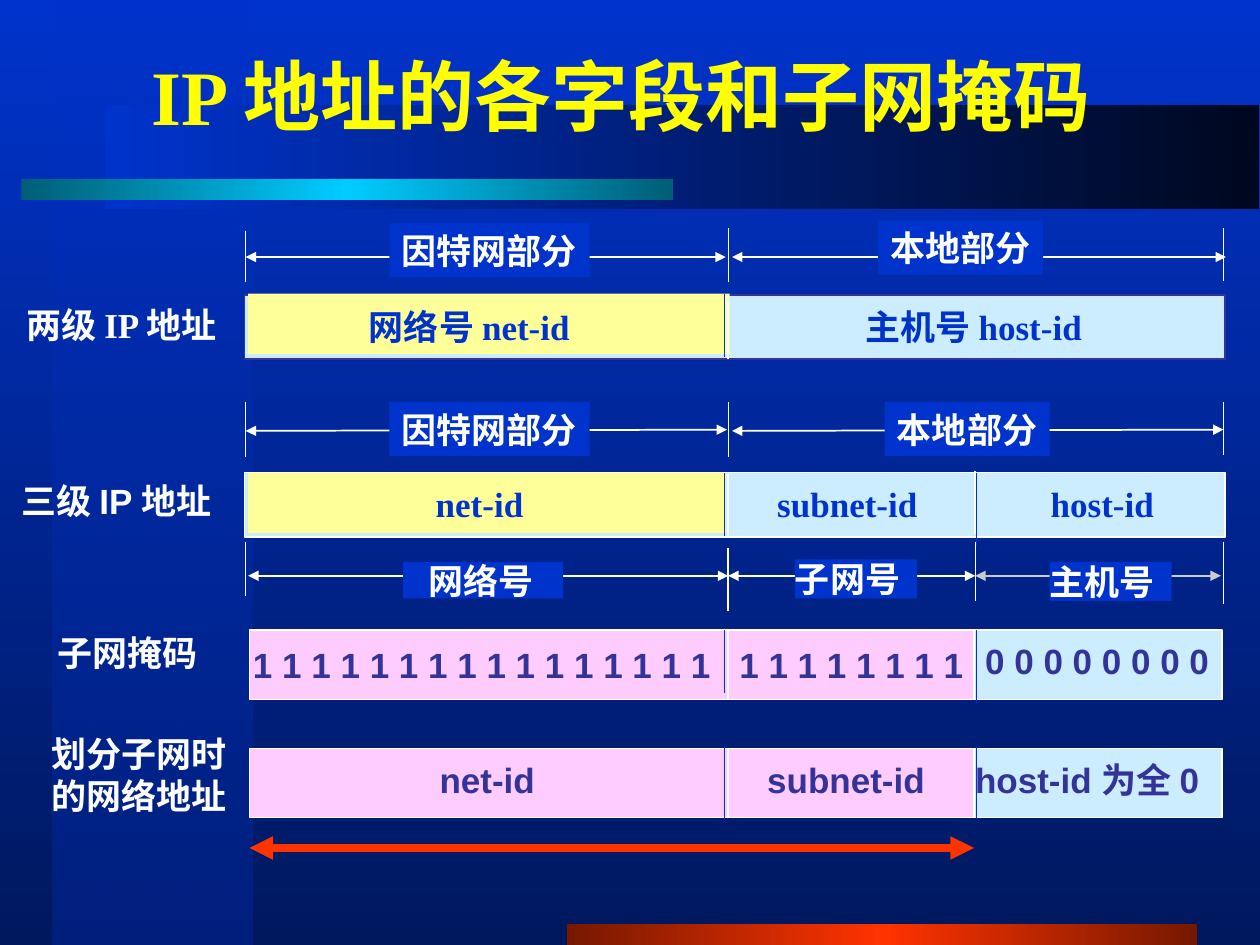
from copy import deepcopy
from lxml import etree
from pptx import Presentation
from pptx.dml.color import RGBColor
from pptx.enum.shapes import MSO_CONNECTOR, MSO_SHAPE
from pptx.enum.text import MSO_ANCHOR, MSO_AUTO_SIZE, PP_ALIGN
from pptx.oxml.ns import qn
from pptx.util import Inches, Pt

RECT = MSO_SHAPE.RECTANGLE
STRAIGHT = MSO_CONNECTOR.STRAIGHT
MIDDLE = MSO_ANCHOR.MIDDLE
CENTER = PP_ALIGN.CENTER
NO_FIT = MSO_AUTO_SIZE.NONE

WHITE, BLUE, NAVY, RED = "FFFFFF", "0033CC", "333399", "FF3300"
PALE, CREAM, PINK = "CCECFF", "FFFF99", "FFCCFF"
SERIF, SANS = "Times New Roman", "Arial"
LEFT, MID, SUB, RIGHT = 1.95, 5.78, 7.74, 9.71
rgb = RGBColor.from_string

prs = Presentation()
prs.slide_width, prs.slide_height = Inches(10), Inches(7.5)
slide = prs.slides.add_slide(prs.slide_layouts[5])
shapes = slide.shapes


def label(text, x, y, w, h=0.43, tint=WHITE, font=SANS, fill=None, pad=0.1):
    if fill:
        box = shapes.add_shape(RECT, Inches(x), Inches(y), Inches(w), Inches(h))
        box.shadow.inherit = False
        box.fill.solid()
        box.fill.fore_color.rgb = rgb(fill)
        box.line.fill.background()
    else:
        box = shapes.add_textbox(Inches(x), Inches(y), Inches(w), Inches(h))
    frame = box.text_frame
    frame.word_wrap = False
    frame.auto_size = NO_FIT
    frame.vertical_anchor = MIDDLE
    frame.margin_left = Inches(pad)
    frame.text = text
    for para in frame.paragraphs:
        para.alignment = PP_ALIGN.LEFT
        para.font.size = Pt(20)
        para.font.bold = True
        para.font.name = font
        para.font.color.rgb = rgb(tint)
    return frame


def rule(x1, y1, x2, y2, tint=WHITE, width=1, heads=False):
    line = shapes.add_connector(STRAIGHT, Inches(x1), Inches(y1), Inches(x2), Inches(y2))
    line.line.color.rgb = rgb(tint)
    line.line.width = Pt(width)
    props = line._element.spPr
    if heads:
        for end in ("a:headEnd", "a:tailEnd"):
            etree.SubElement(props.find(qn("a:ln")), qn(end), type="triangle")
    etree.SubElement(props, qn("a:effectLst"))


back = slide.background.fill
back.gradient()
back.gradient_angle = 270
for stop, tint in zip(back.gradient_stops, (BLUE, "00185E")):
    stop.color.rgb = rgb(tint)
back.gradient_stops[0].position = 0
back.gradient_stops[1].position = 1

bands = [
    (0.42, 0, 1.58, 7.5, 270, (BLUE, "00207E")),
    (4.5, 7.33, 5, 0.17, 0, ("761800", RED, "761800")),
    (0.83, 0.83, 9.16, 0.83, 0, (BLUE, "00081F")),
    (0.17, 1.42, 5.17, 0.17, 0, ("005E76", "00CCFF", "005E76")),
]
for x, y, w, h, angle, tints in bands:
    band = shapes.add_shape(RECT, Inches(x), Inches(y), Inches(w), Inches(h))
    band.shadow.inherit = False
    band.line.fill.background()
    band.fill.gradient()
    band.fill.gradient_angle = angle
    stops = band._element.spPr.find(".//" + qn("a:gsLst"))
    if len(tints) == 3:
        stops.append(deepcopy(stops[0]))
    for i, (stop, tint) in enumerate(zip(band.fill.gradient_stops, tints)):
        stop.color.rgb = rgb(tint)
        stop.position = i / (len(tints) - 1)
    if angle:
        etree.SubElement(stops[0][0], qn("a:alpha"), val="50000")

title = shapes.title
shapes._spTree.append(title._element)
title.left, title.top = Inches(0.75), Inches(0.25)
title.width, title.height = Inches(8.5), Inches(1)
frame = title.text_frame
frame.text = "IP 地址的各字段和子网掩码 "
frame.vertical_anchor = MIDDLE
frame.auto_size = NO_FIT
frame.paragraphs[0].alignment = CENTER
font = frame.paragraphs[0].runs[0].font
font.size, font.bold, font.name = Pt(44), True, SERIF
font.color.rgb = rgb("FFFF01")

bars = [
    (1.94, 3.75, 7.78, 0.51, PALE, WHITE, 1),
    (1.94, 2.34, 7.78, 0.51, PALE, NAVY, 1),
    (1.97, 2.33, 3.82, 0.48, CREAM, None, 0),
    (1.97, 3.75, 3.79, 0.48, CREAM, None, 0),
]
for y in (5, 5.94):
    bars += [(7.73, y, 1.97, 0.55, PALE, WHITE, 0.75),
             (1.98, y, 5.75, 0.55, PINK, WHITE, 0.75)]
for x, y, w, h, tint, edge, width in bars:
    bar = shapes.add_shape(RECT, Inches(x), Inches(y), Inches(w), Inches(h))
    bar.shadow.inherit = False
    bar.fill.solid()
    bar.fill.fore_color.rgb = rgb(tint)
    if edge:
        bar.line.color.rgb = rgb(edge)
        bar.line.width = Pt(width)
    else:
        bar.line.fill.background()

for x, y, end in [(MID, 2.35, 2.85), (MID, 3.76, 4.25), (SUB, 3.74, 4.24),
                  (MID, 5, 5.55), (MID, 5.94, 6.49), (MID, 4.35, 4.85),
                  (RIGHT, 4.3, 4.79)]:
    rule(x, y, x, end)
for x, y, end in [(5.75, 2.33, 2.83), (5.75, 3.75, 4.25), (5.75, 5, 5.5),
                  (5.75, 5.92, 6.5), (7.75, 3.75, 4.33), (7.75, 5, 5.58),
                  (7.75, 5.92, 6.5)]:
    rule(x, y, x, end, BLUE)
for x, y, end in [(LEFT, 1.83, 2.24), (MID, 1.81, 2.24), (RIGHT, 1.81, 2.23),
                  (LEFT, 3.19, 3.63), (MID, 3.19, 3.63), (RIGHT, 3.19, 3.61),
                  (LEFT, 4.3, 4.73), (SUB, 4.3, 4.77)]:
    rule(x, y, x, end, width=0.75)

for x1, y1, x2, y2, tint, width in [
    (LEFT, 2.04, 5.76, 2.04, WHITE, 1), (5.81, 2.04, 9.73, 2.04, WHITE, 1),
    (LEFT, 3.42, 5.77, 3.41, WHITE, 1), (5.81, 3.42, RIGHT, 3.41, WHITE, 1),
    (1.97, 4.57, MID, 4.57, WHITE, 1), (MID, 4.57, SUB, 4.57, WHITE, 1),
    (SUB, 4.57, 9.69, 4.57, "CBCBCB", 1), (1.98, 6.73, 7.73, 6.73, RED, 4.5),
]:
    rule(x1, y1, x2, y2, tint, width, True)

for text, x, y, w, h, pad in [
    ("因特网部分", 3.09, 1.77, 1.59, 0.43, 0.1),
    ("本地部分", 6.97, 1.75, 1.31, 0.43, 0.1),
    ("因特网部分", 3.09, 3.19, 1.59, 0.43, 0.1),
    ("本地部分", 7.02, 3.19, 1.31, 0.43, 0.1),
    ("网络号", 3.2, 4.46, 1.27, 0.29, 0.2),
    ("子网号", 6.31, 4.44, 0.97, 0.31, 0),
    ("主机号", 8.33, 4.46, 0.97, 0.31, 0),
]:
    label(text, x, y, w, h, fill=BLUE, pad=pad)

label("两级 IP 地址", 0.11, 2.36, 1.86, font=SERIF)
label("三级 IP 地址", 0.07, 3.76, 1.92)
label("子网掩码", 0.36, 4.96, 1.31)
label("划分子网时\n的网络地址", 0.31, 5.77, 1.59, 0.76)

for text, x, y, w in [
    ("网络号 net-id", 2.83, 2.38, 1.86), ("主机号 host-id", 6.77, 2.38, 1.98),
    ("net-id", 3.36, 3.78, 0.89), ("subnet-id", 6.07, 3.78, 1.31),
    ("host-id", 8.24, 3.78, 1.02),
]:
    label(text, x, y, w, tint=BLUE, font=SERIF)
for text, x, y, w in [
    ("0 0 0 0 0 0 0 0", 7.72, 5.03, 1.98), ("net-id", 3.39, 5.97, 0.96),
    ("subnet-id", 5.99, 5.97, 1.45), ("host-id 为全 0", 7.64, 5.97, 2.19),
]:
    label(text, x, y, w, tint=NAVY)

ones = " ".join("1" * 16) + "\t" + " ".join("1" * 8)
mask = label(ones, 1.91, 5.06, 5.84, tint=NAVY)
props = mask.paragraphs[0]._p.get_or_add_pPr()
tabs = etree.Element(qn("a:tabLst"))
etree.SubElement(tabs, qn("a:tab"), pos=str(Inches(3.86)), algn="l")
props.insert(0, tabs)

prs.save("out.pptx")
